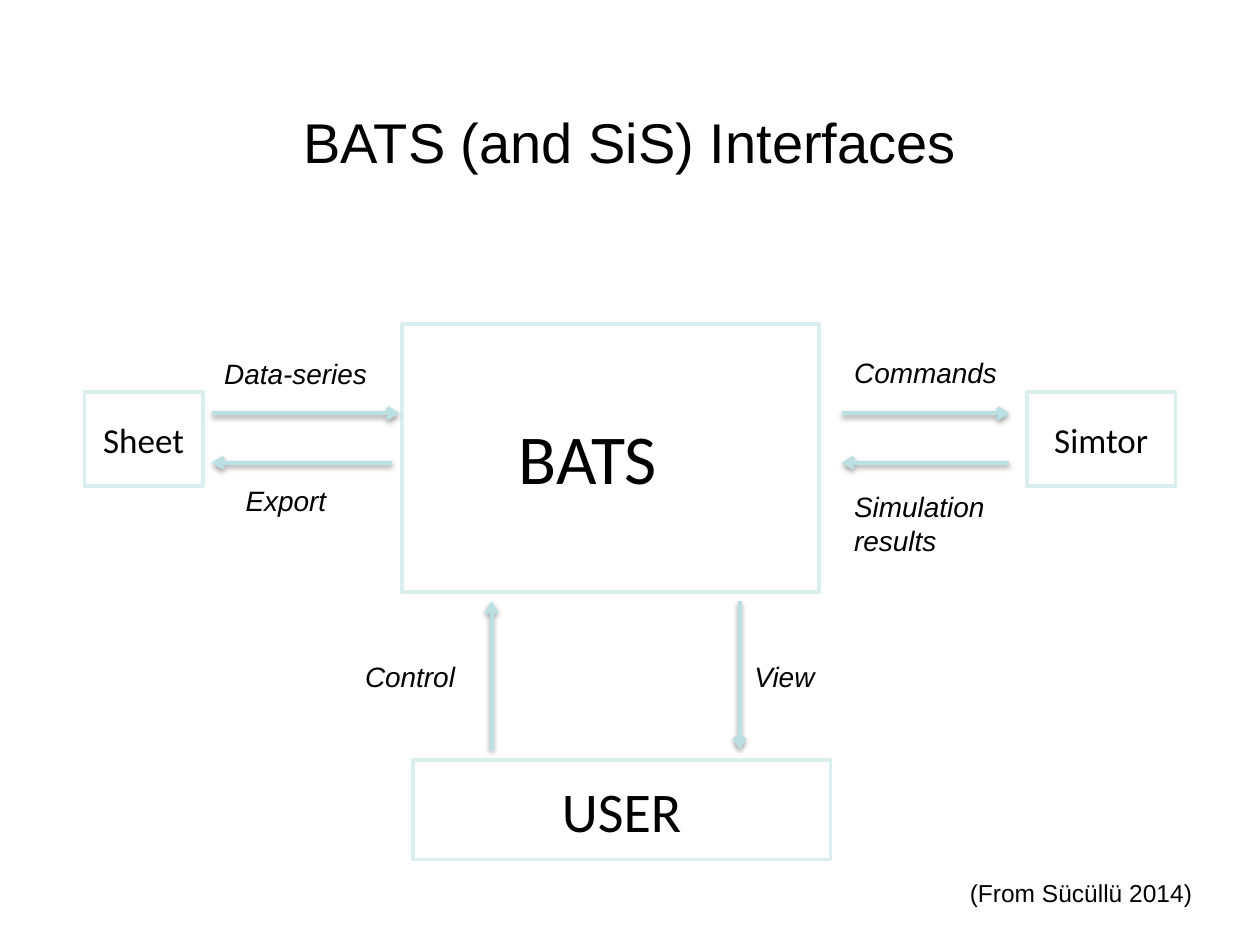
from lxml.etree import SubElement
from pptx import Presentation
from pptx.dml.color import RGBColor
from pptx.enum.shapes import MSO_CONNECTOR, MSO_SHAPE
from pptx.enum.text import MSO_ANCHOR, PP_ALIGN
from pptx.oxml.ns import qn
from pptx.util import Cm, Pt

BLACK = RGBColor(0x00, 0x00, 0x00)
WHITE = RGBColor(0xFF, 0xFF, 0xFF)
BORDER = RGBColor(0xDA, 0xED, 0xEF)
ARROW = RGBColor(0xBB, 0xE0, 0xE3)


class Diagram:
    body_font = "Arial"
    box_font = "Calibri"

    def __init__(self, slide):
        self.s = slide

    def set_text(self, sp, text, size, font, italic=False, align=PP_ALIGN.LEFT):
        tf = sp.text_frame
        p = tf.paragraphs[0]
        p.text = text
        p.alignment = align
        p.font.name = font
        p.font.size = Pt(size)
        p.font.italic = italic
        p.font.color.rgb = BLACK
        return tf

    def box(self, x, y, w, h, text="", size=20):
        sp = self.s.shapes.add_shape(MSO_SHAPE.RECTANGLE, Cm(x), Cm(y), Cm(w), Cm(h))
        sp.shadow.inherit = False
        sp.fill.solid()
        sp.fill.fore_color.rgb = WHITE
        sp.line.color.rgb = BORDER
        sp.line.width = Pt(2)
        if text:
            tf = self.set_text(sp, text, size, self.box_font, align=PP_ALIGN.CENTER)
            tf.vertical_anchor = MSO_ANCHOR.MIDDLE

    def text(self, x, y, w, h, text, size, font=body_font, italic=False,
             align=PP_ALIGN.LEFT, anchor=MSO_ANCHOR.TOP, wrap=True):
        sp = self.s.shapes.add_textbox(Cm(x), Cm(y), Cm(w), Cm(h))
        tf = self.set_text(sp, text, size, font, italic, align)
        tf.word_wrap = wrap
        tf.vertical_anchor = anchor

    def label(self, x, y, w, text, h=0.94):
        self.text(x, y, w, h, text, 16, italic=True)

    def arrow(self, x1, y1, x2, y2):
        """Draw a line with an arrowhead at its end and a soft shadow below."""
        cn = self.s.shapes.add_connector(
            MSO_CONNECTOR.STRAIGHT, Cm(x1), Cm(y1), Cm(x2), Cm(y2))
        cn.line.color.rgb = ARROW
        cn.line.width = Pt(2.25)
        sp_pr = cn._element.spPr
        SubElement(sp_pr.find(qn("a:ln")), qn("a:tailEnd"), type="arrow")
        effects = SubElement(sp_pr, qn("a:effectLst"))
        shadow = SubElement(effects, qn("a:outerShdw"), blurRad="40000",
                            dist="20000", dir="5400000", rotWithShape="0")
        color = SubElement(shadow, qn("a:srgbClr"), val="000000")
        SubElement(color, qn("a:alpha"), val="38000")


def main():
    prs = Presentation()
    prs.slide_width, prs.slide_height = Cm(25.4), Cm(19.05)
    d = Diagram(prs.slides.add_slide(prs.slide_layouts[6]))

    d.text(1.27, 1.47, 22.86, 2.74, "BATS (and SiS) Interfaces", 32,
           align=PP_ALIGN.CENTER, anchor=MSO_ANCHOR.MIDDLE)

    d.box(8.1, 6.53, 8.41, 5.41)
    d.box(8.33, 15.32, 8.41, 2.01, "USER", 32)
    d.box(1.7, 7.9, 2.39, 1.9, "Sheet")
    d.box(20.7, 7.9, 3, 1.9, "Simtor")

    out_y, back_y = 8.33, 9.33
    d.arrow(4.27, out_y, 8.05, out_y)
    d.arrow(7.9, back_y, 4.27, back_y)
    d.arrow(16.97, out_y, 20.35, out_y)
    d.arrow(20.35, back_y, 16.97, back_y)

    top, bottom = 12.12, 15.11
    d.arrow(14.91, top, 14.91, bottom)
    d.arrow(9.91, bottom, 9.91, top)

    d.label(14.96, 13.18, 2.01, "View")
    d.label(7.11, 13.18, 2.39, "Control")
    d.label(16.97, 7.04, 3.99, "Commands")
    d.label(16.97, 9.75, 3.99, "Simulation results", h=1.63)
    d.label(4.27, 7.06, 3.99, "Data-series")
    d.label(4.7, 9.63, 2.79, "Export")

    d.text(10.21, 8.23, 4.17, 1.96, "BATS", 40, d.box_font)
    d.text(19.3, 17.58, 5, 0.86, "(From Sücüllü 2014)", 14, wrap=False)

    prs.save("out.pptx")


if __name__ == "__main__":
    main()
